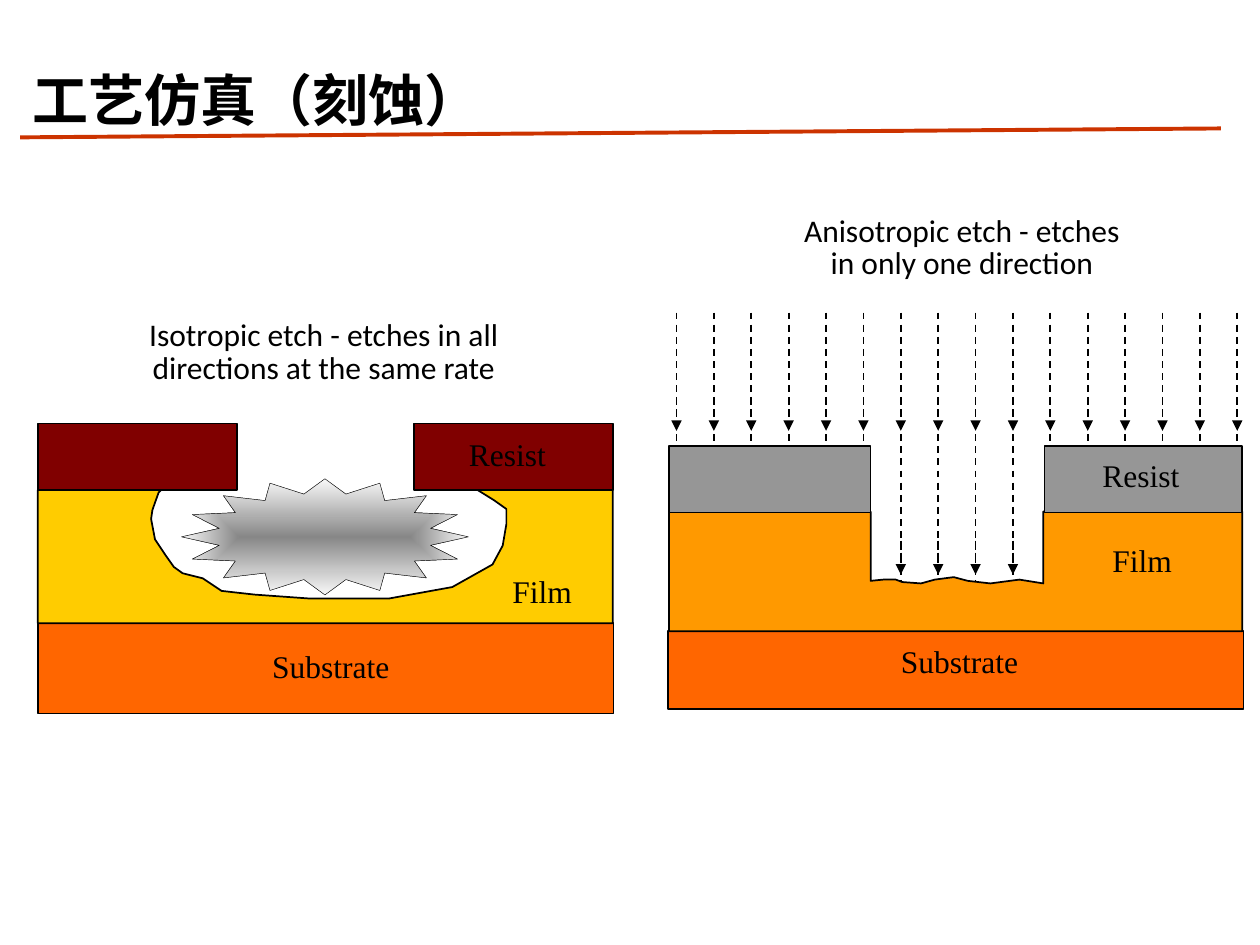
from dataclasses import dataclass

from lxml.etree import SubElement
from pptx import Presentation
from pptx.dml.color import RGBColor
from pptx.enum.dml import MSO_LINE
from pptx.enum.shapes import MSO_CONNECTOR, MSO_SHAPE
from pptx.enum.text import MSO_ANCHOR, PP_ALIGN
from pptx.oxml.ns import qn
from pptx.util import Pt


@dataclass(frozen=True)
class Theme:
    ink: str = "000000"
    rule: str = "CC3300"
    substrate: str = "FF6600"
    isotropic_film: str = "FFCC00"
    isotropic_resist: str = "800000"
    anisotropic_film: str = "FF9900"
    anisotropic_resist: str = "969696"
    plasma_core: str = "878787"
    plasma_edge: str = "F8F8F8"
    label_font: str = "Times New Roman"
    caption_font: str = "Calibri"
    title_size: float = 32
    text_size: float = 18
    outline: float = 1
    line_spacing: float = 0.85


class Painter:
    """Draws styled elements on the current page."""

    def __init__(self, page, theme):
        self.page = page
        self.theme = theme

    def _style_text(self, box, text, font, size, bold=False):
        frame = box.text_frame
        frame.text = text
        frame.vertical_anchor = MSO_ANCHOR.TOP
        para = frame.paragraphs[0]
        for span in para.runs:
            span.font.name = font
            span.font.size = Pt(size)
            span.font.bold = bold
            span.font.color.rgb = RGBColor.from_string(self.theme.ink)
        return para

    def _style_shape(self, shape, color, outline):
        shape.shadow.inherit = False
        if color:
            shape.fill.solid()
            shape.fill.fore_color.rgb = RGBColor.from_string(color)
        shape.line.color.rgb = RGBColor.from_string(self.theme.ink)
        shape.line.width = Pt(outline)

    def title(self, text, left, top, width, height):
        box = self.page.shapes.title
        box.left, box.top = Pt(left), Pt(top)
        box.width, box.height = Pt(width), Pt(height)
        para = self._style_text(box, text, self.theme.label_font, self.theme.title_size, True)
        para.alignment = PP_ALIGN.LEFT
        box.text_frame.word_wrap = False

    def text(self, text, left, top, width, height, font, wrap):
        box = self.page.shapes.add_textbox(Pt(left), Pt(top), Pt(width), Pt(height))
        para = self._style_text(box, text, font, self.theme.text_size)
        para.alignment = PP_ALIGN.CENTER
        para.line_spacing = self.theme.line_spacing
        box.text_frame.word_wrap = wrap

    def caption(self, text, left, top, width, height):
        self.text(text, left, top, width, height, self.theme.caption_font, True)

    def label(self, text, left, top, width):
        self.text(text, left, top, width, 25.2, self.theme.label_font, False)

    def layer(self, color, left, top, width, height):
        shape = self.page.shapes.add_shape(
            MSO_SHAPE.RECTANGLE, Pt(left), Pt(top), Pt(width), Pt(height))
        self._style_shape(shape, color, self.theme.outline)

    def outline(self, color, points):
        start, *rest = [(Pt(x), Pt(y)) for x, y in points]
        builder = self.page.shapes.build_freeform(*start)
        builder.add_line_segments(rest, close=True)
        self._style_shape(builder.convert_to_shape(), color, self.theme.outline)

    def plasma(self, left, top, width, height):
        star = self.page.shapes.add_shape(
            MSO_SHAPE.STAR_16_POINT, Pt(left), Pt(top), Pt(width), Pt(height))
        star.adjustments[0] = 0.375
        self._style_shape(star, None, 0.25)
        star.fill.gradient()
        stops = star.fill.gradient_stops
        for stop, color in zip(stops, (self.theme.plasma_core, self.theme.plasma_edge)):
            stop.color.rgb = RGBColor.from_string(color)
        # Spread the gradient from the centre to the edges
        gradient = star.element.spPr.find(qn("a:gradFill"))
        gradient.remove(gradient.find(qn("a:lin")))
        spread = SubElement(gradient, qn("a:path"), {"path": "shape"})
        SubElement(spread, qn("a:fillToRect"), {side: "50000" for side in "ltrb"})

    def line(self, start, end, color, width, dashed=False, arrow=False):
        line = self.page.shapes.add_connector(
            MSO_CONNECTOR.STRAIGHT, *(Pt(value) for value in (*start, *end)))
        line.line.color.rgb = RGBColor.from_string(color)
        line.line.width = Pt(width)
        if dashed:
            line.line.dash_style = MSO_LINE.DASH
        if arrow:
            SubElement(line.line._get_or_add_ln(), qn("a:tailEnd"), {"type": "triangle"})
        SubElement(line._element.spPr, qn("a:effectLst"))

    def ion(self, x, top, bottom, arrow=False):
        self.line((x, top), (x, bottom), self.theme.ink, self.theme.outline, True, arrow)


def draw_isotropic(painter):
    theme = painter.theme
    left, right, film_top, film_bottom = 21.6, 350.2, 280, 356.2
    painter.caption("Isotropic etch - etches in all directions at the same rate",
                    61.2, 180, 247.7, 56.2)
    # Layers, with the rounded cavity cut into the film
    painter.layer(theme.substrate, left, film_bottom, 329, 51.5)
    for x in (left, 236.4):
        painter.layer(theme.isotropic_resist, x, 242, 113.8, 38)
    cavity = [
        (92.2, film_top), (90.7, 281.5), (88.6, 287.3), (87.1, 291.6), (86.4, 296.6),
        (88.6, 308.2), (94.3, 316.8), (99.4, 324), (104.4, 327.6), (115.9, 330.5),
        (126.7, 337.7), (145.4, 339.8), (176.4, 342), (222.5, 342), (258.5, 335.5),
        (281.5, 322.6), (287.3, 311.8), (289.4, 299.5), (289.4, 290.9),
        (282.2, 285.8), (272.9, film_top),
    ]
    painter.outline(theme.isotropic_film, [
        (right, film_bottom), (left, film_bottom), (left, film_top),
        *cavity, (right, film_top)])
    # Names and etching plasma
    painter.label("Substrate", 148.3, 369.4, 81.4)
    painter.label("Film", 285.8, 326.6, 48.2)
    painter.label("Resist", 260.8, 248.4, 58.3)
    painter.plasma(103.7, 273.6, 164, 66.4)


def draw_anisotropic(painter):
    theme = painter.theme
    left, right, film_top, film_bottom = 382.3, 709.9, 292.3, 360.7
    trench_left, trench_right = 497.5, 596.2
    # Evenly spaced ions; only those in the trench reach the film
    for index in range(16):
        x = 386.6 + 21.36 * index
        painter.ion(x, 178.6, 401.8)
        painter.ion(x, 226.8, 246.2, arrow=True)
        if trench_left < x < trench_right:
            painter.ion(x, 308.9, 328.3, arrow=True)
    painter.caption("Anisotropic etch - etches in only one direction",
                    447.8, 120.2, 203.8, 40.3)
    # Layers, with the straight trench cut into the film
    painter.layer(theme.substrate, 381.6, film_bottom, 329, 44.6)
    trench = [
        (trench_left, film_top), (trench_left, 331.9), (504.7, 331.2), (511.9, 331.2),
        (515.5, 332.6), (526.3, 333.4), (534.2, 331.2), (545, 329.8), (553, 331.9),
        (565.9, 333.4), (582.5, 331.2), (trench_right, 333.4), (trench_right, film_top),
    ]
    painter.outline(theme.anisotropic_film, [
        (left, film_bottom), (left, film_top), *trench,
        (right, film_top), (right, film_bottom)])
    for x, end in ((left, trench_left), (596.9, right)):
        painter.layer(theme.anisotropic_resist, x, 254.9, end - x, 38)
    # Names
    painter.label("Resist", 622.8, 260.6, 58.3)
    painter.label("Substrate", 507.6, 366.5, 81.4)
    painter.label("Film", 628.6, 308.9, 48.2)


def main():
    deck = Presentation()
    deck.slide_width, deck.slide_height = Pt(720), Pt(540)
    page = deck.slides.add_slide(deck.slide_layouts[5])
    painter = Painter(page, Theme())
    # Heading
    painter.title("工艺仿真（刻蚀）", 11.5, 33.8, 274.3, 85)
    painter.line((11.5, 78.5), (697.7, 73.4), painter.theme.rule, 2.25)
    draw_isotropic(painter)
    draw_anisotropic(painter)
    deck.save("out.pptx")


if __name__ == "__main__":
    main()
